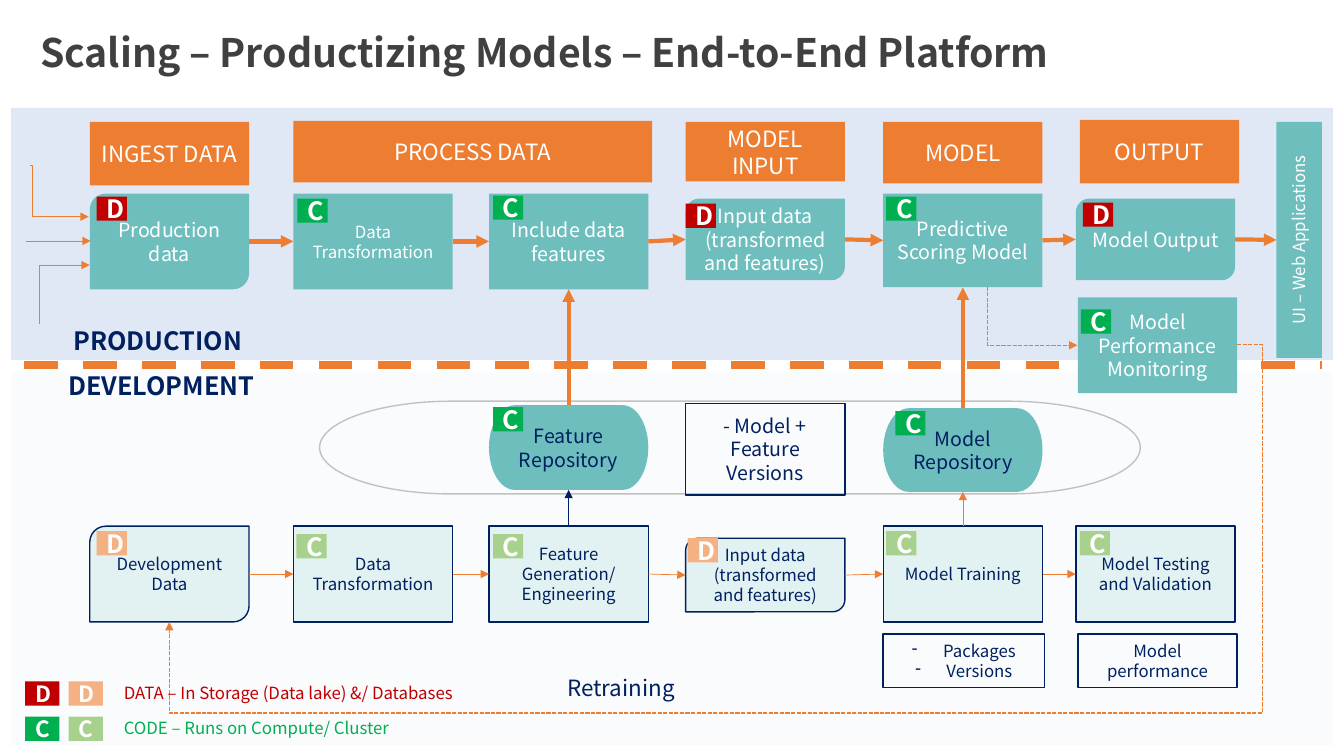
from itertools import pairwise

from lxml.etree import SubElement
from pptx import Presentation
from pptx.dml.color import RGBColor
from pptx.enum.dml import MSO_LINE as Dash
from pptx.enum.shapes import MSO_CONNECTOR as Route, MSO_SHAPE as Form
from pptx.enum.text import MSO_ANCHOR as Anchor, MSO_AUTO_SIZE as Fit, PP_ALIGN as Align
from pptx.oxml.ns import qn
from pptx.util import Pt

PX = 9144  # EMU per px, 100 px to the inch
FONT = "Noto Sans CJK JP"
COLORS = {
    "title": "404040", "white": "FFFFFF", "navy": "002060", "orange": "ED7D31",
    "teal": "6FBEBE", "pale": "E2F2F2", "gray": "BFBFBF",
    "production": "B4C7E7", "development": "D6DCE5",
    "data": "C00000", "data_light": "F4B183",
    "code": "00B050", "code_light": "A9D18E",
}
COLUMNS = [89, 291, 485, 680, 876, 1067]
BOX_W = 158
TOP, LEFT, BOTTOM, RIGHT = range(4)


def rgb(name):
    return RGBColor.from_string(COLORS[name])


def write(frame, text, size=14, color="navy", bold=False, align=Align.CENTER,
          anchor=Anchor.MIDDLE, bullet=None):
    """Fill a text frame, one paragraph per line of text."""
    frame.word_wrap = True
    frame.vertical_anchor = anchor
    for i, line in enumerate(text.split("\n")):
        paragraph = frame.add_paragraph() if i else frame.paragraphs[0]
        paragraph.alignment = align
        if bullet:
            props = paragraph._p.get_or_add_pPr()
            props.set("marL", str(31 * PX))
            props.set("indent", str(-31 * PX))
            SubElement(props, qn("a:buChar")).set("char", bullet)
        run = paragraph.add_run()
        run.text = line
        run.font.name, run.font.size, run.font.bold = FONT, Pt(size), bold
        run.font.color.rgb = rgb(color)


class Board:
    def __init__(self, slide):
        self.slide = slide
        self.shapes = slide.shapes

    def box(self, x, y, w, h, text="", fill=None, line=None, form=Form.RECTANGLE,
            alpha=None, vertical=False, **style):
        shape = self.shapes.add_shape(form, *(v * PX for v in (x, y, w, h)))
        shape.shadow.inherit = False
        if fill:
            shape.fill.solid()
            shape.fill.fore_color.rgb = rgb(fill)
            if alpha:
                tint = shape._element.spPr.find(".//" + qn("a:srgbClr"))
                SubElement(tint, qn("a:alpha")).set("val", str(alpha * 1000))
        else:
            shape.fill.background()
        if line:
            shape.line.color.rgb = rgb(line)
            shape.line.width = Pt(1)
        else:
            shape.line.fill.background()
        if text:
            write(shape.text_frame, text, **style)
        if vertical:
            shape.text_frame._txBody.bodyPr.set("vert", "vert270")
        return shape

    def label(self, x, y, w, h, text, grow=True, **style):
        frame = self.shapes.add_textbox(*(v * PX for v in (x, y, w, h))).text_frame
        write(frame, text, align=Align.LEFT,
              anchor=Anchor.TOP if grow else Anchor.MIDDLE, **style)
        if grow:
            frame.auto_size = Fit.SHAPE_TO_FIT_TEXT

    def badge(self, x, y, kind, w=30, size=18):
        self.box(x, y, w, 24, kind[0].upper().replace("D", "D"), fill=kind,
                 size=size, color="white", bold=True)

    def style_line(self, connector, width, color="orange", dash=None, arrow=True):
        connector.line.color.rgb = rgb(color)
        connector.line.width = Pt(width)
        if dash:
            connector.line.dash_style = dash
        if arrow:
            SubElement(connector.get_or_add_ln(), qn("a:tailEnd")).set("type", "triangle")
        SubElement(connector._element.spPr, qn("a:effectLst"))

    def line(self, x1, y1, x2, y2, width, **style):
        connector = self.shapes.add_connector(
            Route.STRAIGHT, *(v * PX for v in (x1, y1, x2, y2)))
        self.style_line(connector, width, **style)

    def link(self, source, source_side, target, target_side, width, **style):
        """Arrow between side middles; rounded-diagonal boxes number their sites differently."""
        ends = []
        for shape, side in ((source, source_side), (target, target_side)):
            across, down = {TOP: (1, 0), LEFT: (0, 1), BOTTOM: (1, 2), RIGHT: (2, 1)}[side]
            ends += [shape.left + shape.width * across // 2,
                     shape.top + shape.height * down // 2]
        connector = self.shapes.add_connector(Route.STRAIGHT, *ends)
        if source.auto_shape_type != Form.ROUND_2_DIAG_RECTANGLE:
            connector.begin_connect(source, source_side)
        if target.auto_shape_type != Form.ROUND_2_DIAG_RECTANGLE:
            connector.end_connect(target, target_side)
        self.style_line(connector, width, **style)

    def elbow(self, x, y, w, h, bends, width, adjust=(), turn=0, flips=(), dash=None):
        """Bent arrow given by its box before rotation and flipping."""
        connector = self.shapes.add_connector(
            Route.ELBOW, *(v * PX for v in (x, y, x + w, y + h)))
        props = connector._element.spPr
        frame, geometry = props.find(qn("a:xfrm")), props.find(qn("a:prstGeom"))
        frame.set("rot", str(turn * 60000))
        for flip in flips:
            frame.set(flip, "1")
        geometry.set("prst", f"bentConnector{bends + 1}")
        guides = geometry.find(qn("a:avLst"))
        for i, value in enumerate(adjust, 1):
            guide = SubElement(guides, qn("a:gd"))
            guide.set("name", f"adj{i}" if bends > 1 else "adj")
            guide.set("fmla", f"val {value}")
        self.style_line(connector, width, dash=dash)


def main():
    deck = Presentation()
    deck.slide_width, deck.slide_height = 1333 * PX, 750 * PX
    board = Board(deck.slides.add_slide(deck.slide_layouts[6]))
    diag, pill = Form.ROUND_2_DIAG_RECTANGLE, Form.FLOWCHART_TERMINATOR
    rect = Form.RECTANGLE

    board.label(30, 23, 1292, 57, "Scaling – Productizing Models – End-to-End Platform",
                size=28, color="title", bold=True)
    board.box(317, 398, 814, 92, line="gray", form=pill)
    board.box(11, 369, 1311, 370, fill="development", alpha=10)
    board.box(11, 107, 1311, 250, fill="production", alpha=40)
    board.line(24, 362, 1311, 362, 6, dash=Dash.DASH, arrow=False)

    for x, y, w, h, text in [
        (89, 121, BOX_W, 63, "INGEST DATA"), (291, 120, 356, 61, "PROCESS DATA"),
        (680, 121, BOX_W, 59, "MODEL INPUT"), (876, 121, BOX_W, 61, "MODEL"),
        (1071, 119, BOX_W, 63, "OUTPUT"),
    ]:
        board.box(x, y, w, h, text, fill="orange", size=16, color="white")

    production = [
        board.box(x, y, BOX_W, h, text, fill="teal", form=form, size=size, color="white")
        for x, (y, h, form, size, text) in zip(COLUMNS, [
            (192, 95, diag, 14, "Production data"),
            (192, 95, rect, 12, "Data Transformation"),
            (192, 95, rect, 14, "Include data features"),
            (197, 81, diag, 14, "Input data\n(transformed and features)"),
            (192, 93, rect, 14, "Predictive Scoring Model"),
            (197, 81, diag, 14, "Model Output"),
        ])
    ]
    applications = board.box(1266, 121, 45, 234, "UI – Web Applications", fill="teal",
                             size=12, color="white", vertical=True)
    board.box(1069, 295, BOX_W, 95, "Model Performance Monitoring", fill="teal", color="white")

    development = [
        board.box(x, y, BOX_W, h, text, fill="pale", line="navy", form=form, size=12)
        for x, (y, h, form, text) in zip(COLUMNS, [
            (522, 95, diag, "Development Data"),
            (522, 95, rect, "Data Transformation"),
            (522, 95, rect, "Feature Generation/ Engineering"),
            (534, 73, diag, "Input data\n(transformed and features)"),
            (522, 95, rect, "Model Training"),
            (522, 95, rect, "Model Testing and Validation"),
        ])
    ]
    features = board.box(485, 402, BOX_W, 84, "Feature Repository", fill="teal", form=pill)
    models = board.box(876, 405, BOX_W, 83, "Model Repository", fill="teal", form=pill)
    board.box(680, 400, BOX_W, 91, "- Model + Feature Versions", line="navy")
    board.box(876, 629, 160, 53, "Packages\nVersions", line="navy", size=12, bullet="-")
    board.box(1069, 629, BOX_W, 53, "Model performance", line="navy", size=12)

    for source, target in pairwise(production + [applications]):
        board.link(source, RIGHT, target, LEFT, 3)
    for source, target in pairwise(development):
        board.link(source, RIGHT, target, LEFT, 0.5)
    for column, repository, color in [(2, features, "navy"), (4, models, "orange")]:
        board.link(development[column], TOP, repository, BOTTOM, 0.5, color=color)
        board.link(repository, TOP, production[column], BOTTOM, 3)

    board.elbow(168, 342, 1059, 275, 3, 1, adjust=(-2400, 132800), flips=["flipH"],
                dash=Dash.SQUARE_DOT)
    board.elbow(995, 269, 58, 89, 1, 1, turn=270, flips=["flipH"], dash=Dash.SQUARE_DOT)
    board.elbow(30, 164, 58, 51, 2, 0.5, adjust=[2900])
    board.elbow(35, 267, 58, 50, 1, 0.5, turn=90, flips=["flipH", "flipV"])
    board.line(26, 239, 90, 239, 0.5)

    for kind, spots in {
        "data": [(96, 195), (680, 202), (1074, 201)],
        "code": [(295, 197), (489, 194), (879, 195), (1072, 307), (888, 408), (489, 404)],
        "data_light": [(96, 527), (682, 534)],
        "code_light": [(294, 530), (489, 530), (879, 527), (1071, 527)],
    }.items():
        for x, y in spots:
            board.badge(x, y, kind)

    for y, kind, text in [(676, "data", "DATA – In Storage (Data lake) &/ Databases"),
                          (711, "code", "CODE – Runs on Compute/ Cluster")]:
        board.badge(25, y, kind, w=34, size=16)
        board.badge(68, y, kind + "_light", w=34, size=16)
        board.label(113, y, 476, 22, text, grow=False, size=12, color=kind)

    board.label(553, 664, 160, 37, "Retraining", size=16)
    board.label(63, 318, 317, 40, "PRODUCTION", size=18, bold=True)
    board.label(58, 362, 264, 40, "DEVELOPMENT", size=18, bold=True)
    deck.save("out.pptx")


if __name__ == "__main__":
    main()
